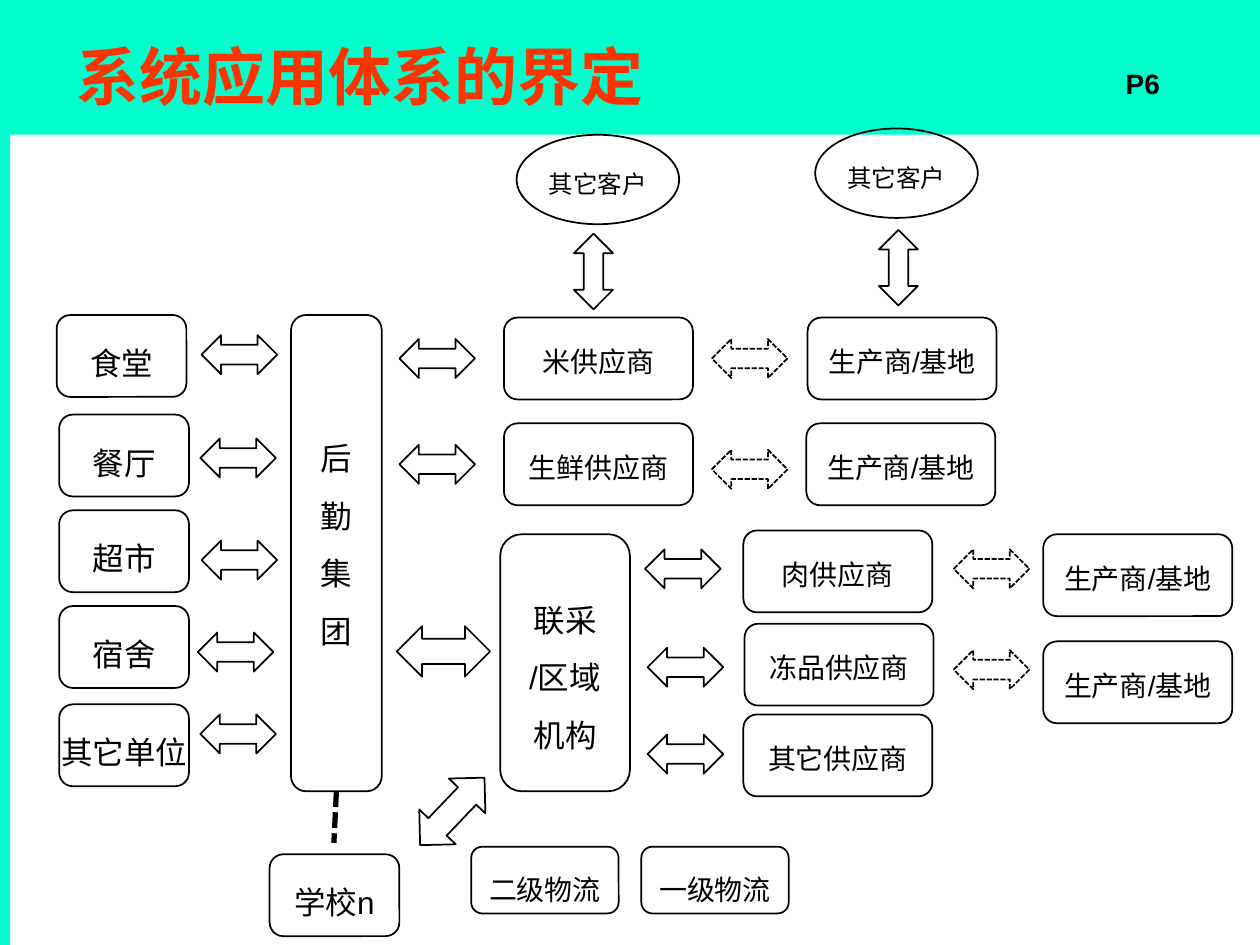
"""Builds the slide that defines the scope of the supply system."""
from lxml.etree import SubElement
from pptx import Presentation
from pptx.dml.color import RGBColor
from pptx.enum.dml import MSO_LINE_DASH_STYLE as Dash
from pptx.enum.shapes import MSO_CONNECTOR as Connector, MSO_SHAPE as Shape
from pptx.enum.text import MSO_ANCHOR as Anchor, PP_ALIGN as Align
from pptx.oxml.ns import qn
from pptx.util import Inches, Pt

MINT = RGBColor(0x00, 0xFF, 0xCC)
ORANGE = RGBColor(0xFF, 0x33, 0x00)
BLACK = RGBColor(0x00, 0x00, 0x00)


def apply(target, values):
    """Set every attribute named in values on target."""
    for name, value in values.items():
        setattr(target, name, value)


class Diagram:
    """Holds the slide and its style, with a method for each kind of element."""

    font = {"name": "Arial", "bold": False}
    frame = {"word_wrap": False, "vertical_anchor": Anchor.TOP}

    def __init__(self, slide):
        self.slide = slide

    def add_text(self, paragraph, text, size, color=BLACK, **extra):
        run = paragraph.add_run()
        run.text = text
        apply(run.font, {**self.font, "size": Pt(size), **extra})
        run.font.color.rgb = color

    def title(self, text, *place):
        heading = self.slide.shapes.title
        heading.element.getparent().append(heading.element)
        apply(heading, dict(zip(("left", "top", "width", "height"), map(Inches, place))))
        apply(heading.text_frame, {"word_wrap": True, "vertical_anchor": Anchor.MIDDLE})
        paragraph = heading.text_frame.paragraphs[0]
        paragraph.alignment = Align.LEFT
        self.add_text(paragraph, text, 36, ORANGE, bold=True)

    def label(self, text, *place):
        box = self.slide.shapes.add_textbox(*map(Inches, place))
        box.text_frame.word_wrap = True
        paragraph = box.text_frame.paragraphs[0]
        paragraph.alignment = Align.CENTER
        self.add_text(paragraph, text, 16, bold=True)

    def band(self, *place):
        bar = self.slide.shapes.add_shape(Shape.RECTANGLE, *map(Inches, place))
        bar.shadow.inherit = False
        bar.fill.solid()
        bar.fill.fore_color.rgb = MINT
        bar.line.fill.background()

    def outline(self, kind, *place):
        shape = self.slide.shapes.add_shape(kind, *map(Inches, place))
        shape.shadow.inherit = False
        shape.fill.background()
        shape.line.color.rgb = BLACK
        shape.line.width = Pt(1)
        return shape

    def node(self, lines, left, top, width, height, size=16, kind=Shape.ROUNDED_RECTANGLE,
             spacing=1.5, margin_top=0.05):
        shape = self.outline(kind, left, top, width, height)
        content = shape.text_frame
        apply(content, {**self.frame, "margin_top": Inches(margin_top)})
        for index, line in enumerate(lines):
            paragraph = content.add_paragraph() if index else content.paragraphs[0]
            apply(paragraph, {"alignment": Align.CENTER, "line_spacing": spacing,
                              "space_before": Pt(size * 0.625)})
            self.add_text(paragraph, line, size)
        return shape

    def arrow(self, left, top, width=0.6, height=0.31, rotation=0, dash=None):
        arrow = self.outline(Shape.LEFT_RIGHT_ARROW, left, top, width, height)
        arrow.rotation = rotation
        if dash:
            arrow.line.dash_style = dash

    def dashed_link(self, source, side, end_x, end_y):
        link = self.slide.shapes.add_connector(
            Connector.STRAIGHT, 0, 0, Inches(end_x), Inches(end_y))
        link.begin_connect(source, side)
        link.line.color.rgb = BLACK
        apply(link.line, {"width": Pt(3), "dash_style": Dash.SQUARE_DOT})
        SubElement(link.element.spPr, qn("a:effectLst"))


def main():
    """Draw the whole slide and save it."""
    deck = Presentation()
    apply(deck, {"slide_width": Inches(10), "slide_height": Inches(7.5)})
    diagram = Diagram(deck.slides.add_slide(deck.slide_layouts[5]))

    diagram.band(0.08, 0, 9.92, 1.07)
    diagram.label("P6", 8.67, 0.48, 0.8, 0.37)
    diagram.band(0, 0, 0.08, 7.5)
    diagram.title("系统应用体系的界定", 0.51, 0.15, 7.98, 0.89)

    units = [("食堂", 0.45, 2.5), ("餐厅", 0.47, 3.29), ("超市", 0.47, 4.05),
             ("宿舍", 0.47, 4.81), ("其它单位", 0.47, 5.59), ("学校n", 2.14, 6.78)]
    for name, left, top in units:
        diagram.node([name], left, top, 1.03, 0.65, size=18)

    group = diagram.node("后勤集团", 2.31, 2.5, 0.72, 3.78, size=18, spacing=1, margin_top=0.95)
    diagram.node(["联采", "/区域", "机构"], 3.97, 4.24, 1.03, 2.04, size=18, spacing=1,
                 margin_top=0.48)

    suppliers = [("米供应商", 4, 2.52), ("生鲜供应商", 4, 3.36), ("肉供应商", 5.9, 4.21),
                 ("冻品供应商", 5.91, 4.95), ("其它供应商", 5.9, 5.67)]
    producers = [("生产商/基地", left, top) for left, top in
                 [(6.41, 2.52), (6.4, 3.36), (8.28, 4.24), (8.28, 5.09)]]
    for name, left, top in suppliers + producers:
        diagram.node([name], left, top, 1.5, 0.65)
    for name, left in [("二级物流", 3.74), ("一级物流", 5.09)]:
        diagram.node([name], left, 6.72, 1.17, 0.53)

    for left, top in [(4.1, 1.07), (6.47, 1.02)]:
        diagram.node(["其它客户"], left, top, 1.29, 0.71, size=14, kind=Shape.OVAL)
    for left, top in [(4.41, 2), (6.83, 1.97)]:
        diagram.arrow(left, top, rotation=90)

    unit_arrows = [(1.6, 2.66), (1.59, 3.48), (1.6, 4.29), (1.57, 5.02), (1.59, 5.67)]
    supplier_arrows = [(3.17, 2.69), (3.17, 3.53), (5.12, 4.36), (5.14, 5.14), (5.14, 5.83)]
    for left, top in unit_arrows + supplier_arrows:
        diagram.arrow(left, top)
    for left, top in [(5.65, 2.69), (5.65, 3.57), (7.57, 4.36), (7.57, 5.16)]:
        diagram.arrow(left, top, dash=Dash.SQUARE_DOT)
    for left, top, rotation in [(3.15, 4.97, 0), (3.22, 6.24, 313.7)]:
        diagram.arrow(left, top, 0.74, 0.4, rotation)

    diagram.dashed_link(group, 2, 2.65, 6.69)
    deck.save("out.pptx")


if __name__ == "__main__":
    main()
